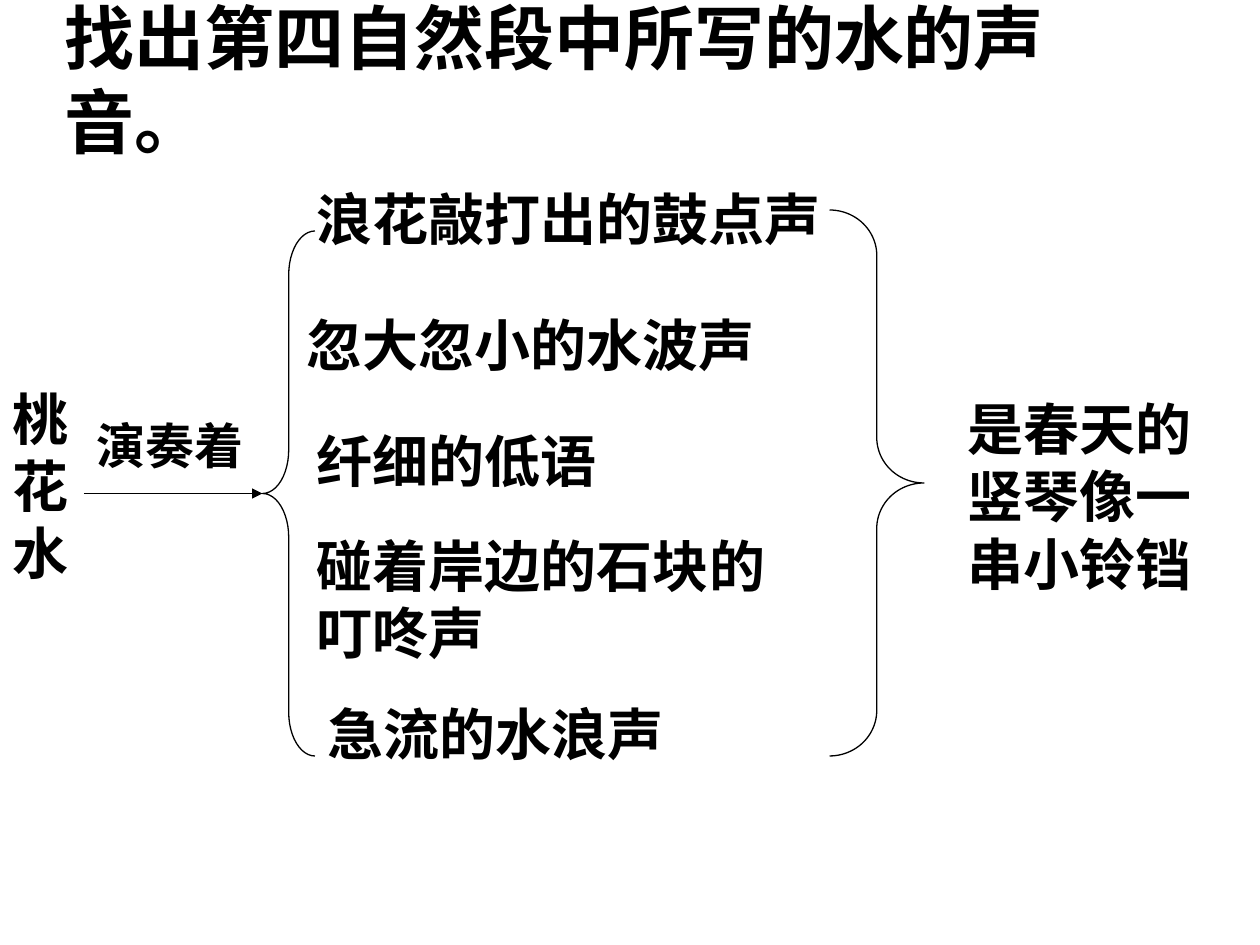
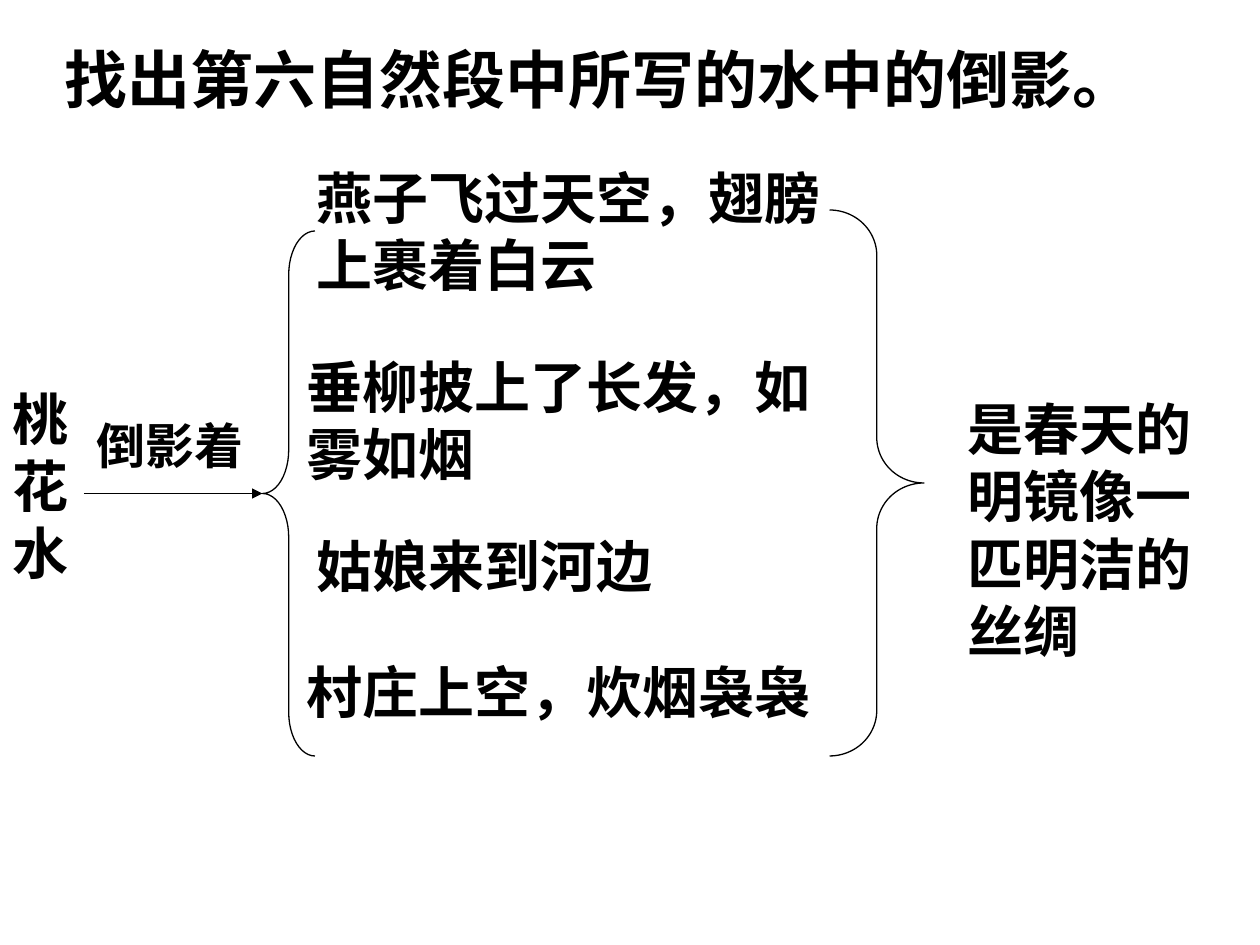
from math import ceil

from lxml.etree import SubElement
from pptx import Presentation
from pptx.dml.color import RGBColor
from pptx.enum.shapes import MSO_CONNECTOR, MSO_SHAPE
from pptx.enum.text import MSO_ANCHOR, MSO_AUTO_SIZE
from pptx.oxml.ns import qn
from pptx.util import Pt

INK = "000000"
PAPER = "FFFFFF"
FONT = "Arial"
INSET_X, INSET_Y = 7.2, 3.6
LINE_WIDTH = 0.75
BODY = 32
ARROW_Y = 282

SLIDES = [
    {
        "title": ("找出第四自然段中所写的水的声音。", 40),
        "verb": "演奏着",
        "details": [
            ("浪花敲打出的鼓点声", 174, 102, 318),
            ("忽大忽小的水波声", 168, 174, 318),
            ("纤细的低语", 174, 240, 318),
            ("碰着岸边的石块的叮咚声", 174, 300, 300),
            ("急流的水浪声", 180, 396, 318),
        ],
        "summary": "是春天的竖琴像一串小铃铛",
    },
    {
        "title": ("找出第六自然段中所写的水中的倒影。", 36),
        "verb": "倒影着",
        "details": [
            ("燕子飞过天空，翅膀上裹着白云", 174, 90, 318),
            ("垂柳披上了长发，如雾如烟", 168, 198, 318),
            ("姑娘来到河边", 174, 300, 300),
            ("村庄上空，炊烟袅袅", 168, 372, 318),
        ],
        "summary": "是春天的明镜像一匹明洁的丝绸",
    },
]


def color(hex_code):
    """Turn a hex string into a colour."""
    return RGBColor.from_string(hex_code)


def add_text(s, text, x, y, w, h, size):
    """Add a bold, wrapping text box and return its text frame."""
    tf = s.shapes.add_textbox(Pt(x), Pt(y), Pt(w), Pt(h)).text_frame
    tf.word_wrap = True
    tf.margin_left = tf.margin_right = Pt(INSET_X)
    tf.margin_top = tf.margin_bottom = Pt(INSET_Y)
    p = tf.paragraphs[0]
    p._p.get_or_add_pPr().set("hangingPunct", "0")
    r = p.add_run()
    r.text = text
    r.font.name = FONT
    r.font.size = Pt(size)
    r.font.bold = True
    r.font.color.rgb = color(INK)
    return tf


def add_title(s, text, size):
    """Add the slide's question, centred vertically in its band."""
    tf = add_text(s, text, 30, 24, 648, 42, size)
    tf.vertical_anchor = MSO_ANCHOR.MIDDLE


def add_label(s, text, x, y, w, size=BODY):
    """Add a label whose height follows from its number of lines."""
    chars_per_line = (w - 2 * INSET_X) // size
    lines = ceil(len(text) / chars_per_line)
    h = 2 * INSET_Y + 1.2 * size * lines
    tf = add_text(s, text, x, y, w, h, size)
    tf.auto_size = MSO_AUTO_SIZE.SHAPE_TO_FIT_TEXT


def style_line(line):
    """Give an outline the shared colour and width."""
    line.color.rgb = color(INK)
    line.width = Pt(LINE_WIDTH)


def add_arrow(s, x1, x2, y):
    """Add a horizontal arrow pointing right."""
    c = s.shapes.add_connector(MSO_CONNECTOR.STRAIGHT, Pt(x1), Pt(y), Pt(x2), Pt(y))
    style_line(c.line)
    SubElement(c.line._get_or_add_ln(), qn("a:tailEnd"), type="triangle")
    SubElement(c._element.spPr, qn("a:effectLst"))


def add_brace(s, kind, x, y, w, h):
    """Add a curly brace whose curves take a twelfth of its height."""
    brace = s.shapes.add_shape(kind, Pt(x), Pt(y), Pt(w), Pt(h))
    brace.adjustments[0] = h / 12 / w
    brace.shadow.inherit = False
    brace.fill.background()
    style_line(brace.line)


def add_diagram(prs, content):
    """Add one slide that leads from the subject to its summary."""
    s = prs.slides.add_slide(prs.slide_layouts[6])
    s.background.fill.solid()
    s.background.fill.fore_color.rgb = color(PAPER)
    add_title(s, *content["title"])
    add_label(s, "桃花水", 0, 216, 54)
    add_arrow(s, 48, 150, ARROW_Y)
    add_label(s, content["verb"], 48, 234, 102, 28)
    for detail in content["details"]:
        add_label(s, *detail)
    add_brace(s, MSO_SHAPE.LEFT_BRACE, 150, 132, 30, 300)
    add_brace(s, MSO_SHAPE.RIGHT_BRACE, 474, 120, 54, 312)
    add_label(s, content["summary"], 546, 222, 144)


def main():
    """Build and save the presentation."""
    prs = Presentation()
    prs.slide_width, prs.slide_height = Pt(720), Pt(540)
    for content in SLIDES:
        add_diagram(prs, content)
    prs.save("out.pptx")


if __name__ == "__main__":
    main()
